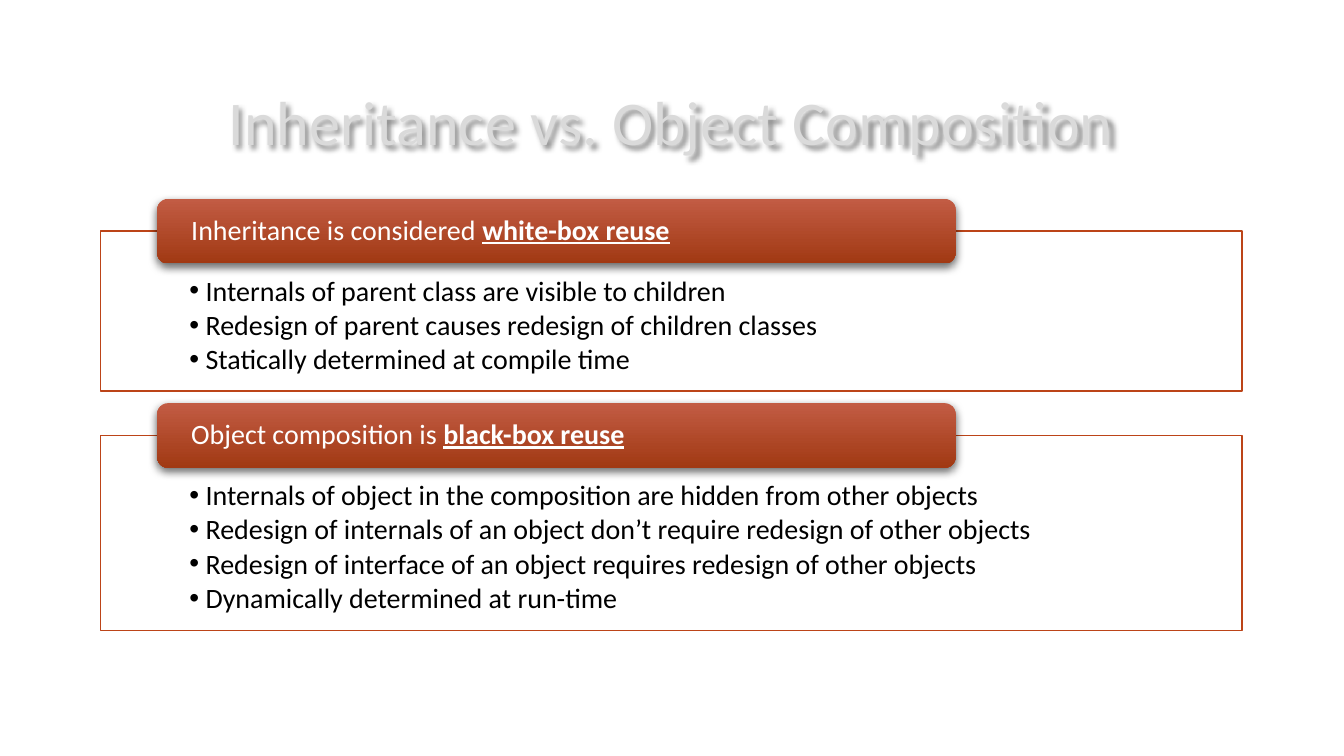
"""Build a slide that sets inheritance against object composition."""
import lxml.etree
import pptx
import pptx.dml.color
import pptx.enum.shapes
import pptx.enum.text
import pptx.oxml.ns
import pptx.util

Inches = pptx.util.Inches
Pt = pptx.util.Pt
qn = pptx.oxml.ns.qn
SHAPE = pptx.enum.shapes.MSO_SHAPE
ALIGN = pptx.enum.text.PP_ALIGN
ANCHOR = pptx.enum.text.MSO_ANCHOR

COLORS = {
    "title": "DADADA",
    "paper": "FFFFFF",
    "ink": "000000",
    "edge": "BC4418",
    "light": "C25C44",
    "dark": "A13913",
}
LEFT, WIDTH = 0.75, 8.49
PANELS = [
    (1.72, 1.19, "Inheritance is considered ", "white-box reuse", [
        "Internals of parent class are visible to children",
        "Redesign of parent causes redesign of children classes",
        "Statically determined at compile time",
    ]),
    (3.24, 1.45, "Object composition is ", "black-box reuse", [
        "Internals of object in the composition are hidden from other objects",
        "Redesign of internals of an object don’t require redesign of other objects",
        "Redesign of interface of an object requires redesign of other objects",
        "Dynamically determined at run-time",
    ]),
]


def tint(name):
    return pptx.dml.color.RGBColor.from_string(COLORS[name])


def add_tag(parent, tag, **values):
    return lxml.etree.SubElement(
        parent, qn(tag), {key: str(value) for key, value in values.items()})


def add_shade(shape, blur, gap, angle, alpha):
    effects = add_tag(shape._element.spPr, "a:effectLst")
    outer = add_tag(effects, "a:outerShdw", blurRad=Pt(blur), dist=Pt(gap),
                    dir=angle * 60000, algn="ctr", rotWithShape=0)
    color = add_tag(outer, "a:srgbClr", val=COLORS["ink"])
    add_tag(color, "a:alpha", val=alpha * 1000)


def add_run(para, text, size, color, strong=False):
    run = para.add_run()
    run.text = text
    font = run.font
    font.name, font.size = "Calibri", Pt(size)
    font.bold = font.underline = strong
    font.color.rgb = tint(color)


def set_frame(shape, anchor, left, top, right, bottom):
    frame = shape.text_frame
    frame.word_wrap = True
    frame.vertical_anchor = anchor
    frame.margin_left, frame.margin_top = Inches(left), Inches(top)
    frame.margin_right, frame.margin_bottom = Inches(right), Inches(bottom)
    return frame


def add_title(slide, text):
    box = slide.shapes.add_textbox(
        Inches(LEFT), Inches(0.5), Inches(WIDTH), Inches(0.8))
    add_shade(box, 3, 2, 45, 45)
    frame = set_frame(box, ANCHOR.MIDDLE, 0.1, 0.05, 0.1, 0.05)
    para = frame.paragraphs[0]
    para.alignment = ALIGN.CENTER
    add_run(para, text, 33.3, "title")


def add_panel(slide, top, height, lines):
    box = slide.shapes.add_shape(
        SHAPE.RECTANGLE, Inches(LEFT), Inches(top), Inches(WIDTH), Inches(height))
    box.shadow.inherit = False
    box.fill.solid()
    box.fill.fore_color.rgb = tint("paper")
    color = box._element.spPr.find(qn("a:solidFill"))[0]
    add_tag(color, "a:alpha", val=90000)
    box.line.color.rgb = tint("edge")
    box.line.width = Pt(0.75)
    frame = set_frame(box, ANCHOR.TOP, 0.66, 0.34, 0.66, 0.12)
    for index, line in enumerate(lines):
        para = frame.add_paragraph() if index else frame.paragraphs[0]
        para.alignment = ALIGN.LEFT
        para.line_spacing = 0.9
        para.space_before = Pt(2.2 if index else 0)
        props = para._p.get_or_add_pPr()
        props.set("marL", str(Inches(0.12)))
        props.set("indent", str(Inches(-0.12)))
        add_tag(props, "a:buFont", typeface="Arial")
        add_tag(props, "a:buChar", char="•")
        add_run(para, line, 15, "ink")


def add_banner(slide, top, lead, term):
    bar = slide.shapes.add_shape(
        SHAPE.ROUNDED_RECTANGLE, Inches(1.17), Inches(top), Inches(5.94), Inches(0.48))
    bar.adjustments[0] = 0.167
    bar.fill.gradient()
    bar.fill.gradient_angle = 270
    for stop, name in zip(bar.fill.gradient_stops, ("light", "dark")):
        stop.color.rgb = tint(name)
    bar.line.fill.background()
    add_shade(bar, 5, 2, 90, 60)
    frame = set_frame(bar, ANCHOR.MIDDLE, 0.23, 0, 0.23, 0)
    para = frame.paragraphs[0]
    para.alignment = ALIGN.LEFT
    para.line_spacing = 0.9
    add_run(para, lead, 15, "paper")
    add_run(para, term, 15, "paper", strong=True)


def main():
    deck = pptx.Presentation()
    deck.slide_width = Inches(10)
    deck.slide_height = deck.slide_width * 9 // 16
    slide = deck.slides.add_slide(deck.slide_layouts[6])
    add_title(slide, "Inheritance vs. Object Composition")
    for top, height, lead, term, lines in PANELS:
        add_panel(slide, top, height, lines)
        add_banner(slide, top - 0.24, lead, term)
    deck.save("out.pptx")


if __name__ == "__main__":
    main()
